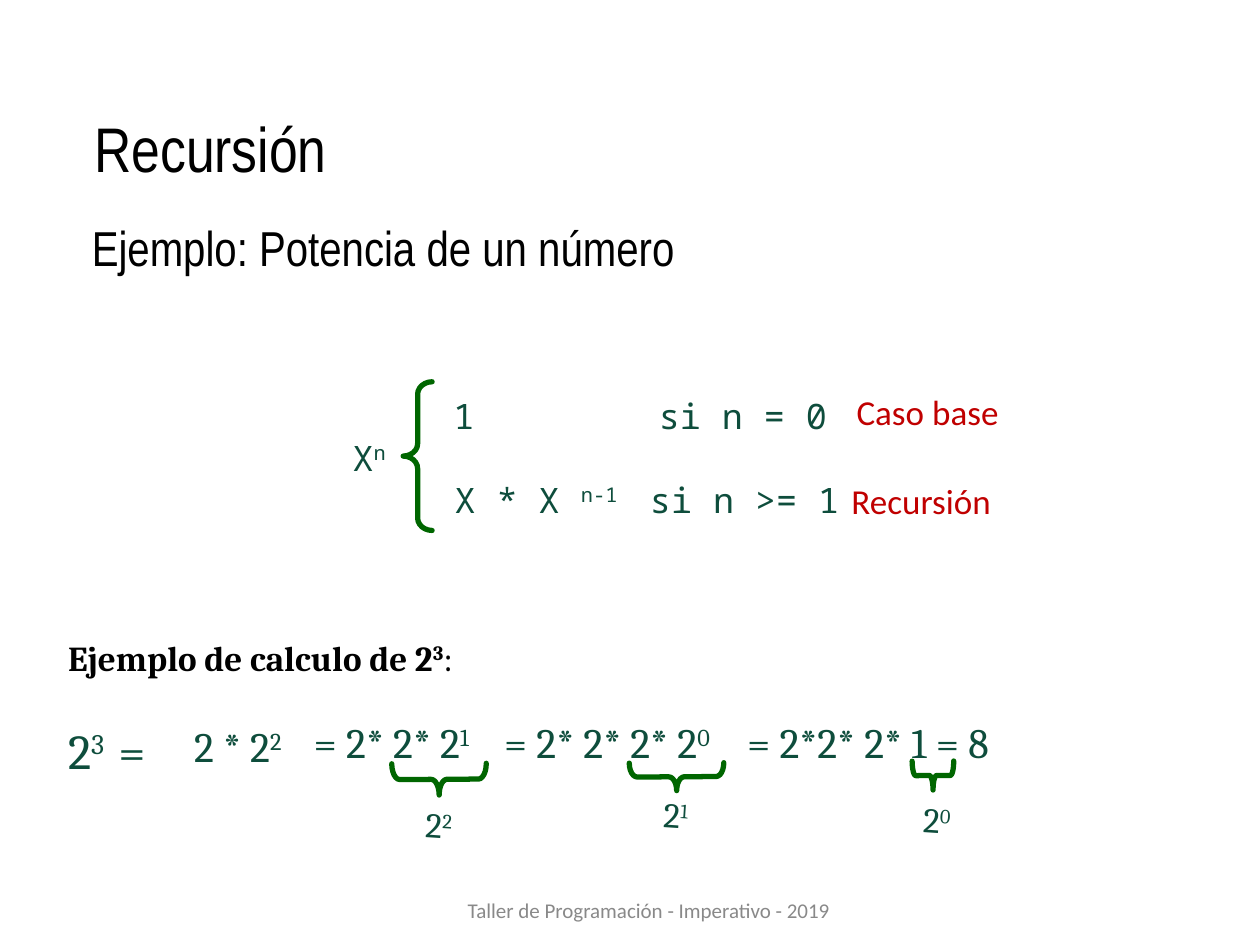
from dataclasses import dataclass

from pptx import Presentation
from pptx.dml.color import RGBColor
from pptx.enum.shapes import MSO_SHAPE
from pptx.enum.text import MSO_ANCHOR, PP_ALIGN
from pptx.oxml.ns import qn
from pptx.util import Inches, Pt
from lxml import etree

RECT, BRACE = MSO_SHAPE.RECTANGLE, MSO_SHAPE.LEFT_BRACE
TOP, MID = MSO_ANCHOR.TOP, MSO_ANCHOR.MIDDLE
LEFT, MIDDLE = PP_ALIGN.LEFT, PP_ALIGN.CENTER

GREEN, EDGE, RED = "0E4D3C", "006600", "C00000"
BLACK, GREY, WHITE = "000000", "898989", "FFFFFF"
SERIF, MONO, SANS, NARROW = "Cambria", "Noto Sans Mono", "Calibri", "Arial Narrow"


@dataclass
class Run:
    text: str  # parts between ^ marks are raised
    size: float
    color: str
    font: str
    bold: bool = False


@dataclass
class Para:
    runs: list[Run]
    tabs: tuple[float, ...] = ()
    align: PP_ALIGN = LEFT
    lead: float | Pt | None = None
    above: float = 0
    below: float = 0


@dataclass
class Box:
    place: tuple[float, float, float, float]
    paras: list[Para]
    turn: float = 0
    filled: bool = False
    wrap: bool = True
    anchor: MSO_ANCHOR = TOP


@dataclass
class Brace:
    place: tuple[float, float, float, float]
    curve: float
    turn: float = 269.7


def paint(target, color: str) -> None:
    target.rgb = RGBColor.from_string(color)


def add_run(para, run: Run) -> None:
    for i, part in enumerate(run.text.split("^")):
        if not part:
            continue
        item = para.add_run()
        item.text = part
        style = {"name": run.font, "size": Pt(run.size), "bold": run.bold}
        for key, value in style.items():
            setattr(item.font, key, value)
        paint(item.font.color, run.color)
        if i % 2:
            item.font._element.set("baseline", "30000")


def add_tabs(para, stops: tuple[float, ...]) -> None:
    if stops:
        tabs = etree.SubElement(para._p.get_or_add_pPr(), qn("a:tabLst"))
        for stop in stops:
            etree.SubElement(tabs, qn("a:tab"), pos=str(Inches(stop)), algn="l")


def add_box(slide, box: Box) -> None:
    place = [Inches(v) for v in box.place]
    if box.filled:
        shape = slide.shapes.add_shape(RECT, *place)
        shape.shadow.inherit = False
        shape.fill.solid()
        paint(shape.fill.fore_color, WHITE)
        shape.line.fill.background()
    else:
        shape = slide.shapes.add_textbox(*place)
    shape.rotation = box.turn
    frame = shape.text_frame
    frame.word_wrap = box.wrap
    frame.vertical_anchor = box.anchor
    if box.filled:
        for side in ("left", "right", "top", "bottom"):
            setattr(frame, f"margin_{side}", Inches(0.16))
    for i, item in enumerate(box.paras):
        para = frame.add_paragraph() if i else frame.paragraphs[0]
        style = {"alignment": item.align, "line_spacing": item.lead,
                 "space_before": Pt(item.above), "space_after": Pt(item.below)}
        for key, value in style.items():
            setattr(para, key, value)
        add_tabs(para, item.tabs)
        for run in item.runs:
            add_run(para, run)


def add_brace(slide, brace: Brace) -> None:
    shape = slide.shapes.add_shape(BRACE, *[Inches(v) for v in brace.place])
    shape.shadow.inherit = False
    shape.adjustments[0] = brace.curve
    shape.rotation = brace.turn
    shape.fill.background()
    shape.line.width = Pt(3)
    paint(shape.line.color, EDGE)
    line = shape.line._get_or_add_ln()
    line.set("cap", "rnd")
    etree.SubElement(line, qn("a:round"))


def head(text: str, size: float) -> list[Para]:
    return [Para([Run(text, size, BLACK, NARROW)], lead=1.35, above=0.3 * size, below=6)]


def term(left: float, top: float, width: float, text: str) -> Box:
    return Box((left, top, width, 0.72), [Para([Run(text, 24, GREEN, SERIF)])], filled=True)


def label(left: float, top: float, text: str) -> Box:
    return Box((left, top, 0.5, 0.44), [Para([Run(text, 20, GREEN, SERIF)])], turn=3.8)


def case(left: float, top: float, text: str) -> Box:
    return Box((left, top, 1.34, 0.44), [Para([Run(text, 20, RED, SANS)])], wrap=False)


def rule(text: str, *tabs: float) -> Para:
    return Para([Run(text, 20, GREEN, MONO)], tabs, lead=Pt(24))


PARTS = [
    # Definition by cases
    Brace((3.2, 3.03, 0.23, 1.18), 0.43, 0),
    Box((2.34, 3.08, 5.49, 1.1), [
        rule("\t1\tsi n = 0", 1.16, 2.79),
        rule("\tX^n^", 0.36),
        rule("\tX * X ^n-1^\tsi n >= 1", 1.17, 2.72)]),
    # Worked example
    Box((0.38, 4.89, 8.88, 1.8), [
        Para([Run("Ejemplo de calculo de 2^3^", 20, BLACK, SERIF, True),
              Run(":", 20, BLACK, SERIF)]),
        Para([Run("2^3^\t=", 28, GREEN, SERIF)], (0.4,), above=24)], filled=True),
    case(6.7, 3.05, "Caso base"),
    case(6.66, 3.76, "Recursión"),
    # Footer
    Box((2.87, 6.99, 4.56, 0.4), [
        Para([Run("Taller de Programación - Imperativo - 2019", 12, GREY, SANS)],
             align=MIDDLE, lead=1.35, above=2.4)], anchor=MID),
    # Expansion steps
    term(1.38, 5.56, 1.29, "2 * 2^2^"),
    term(3.84, 5.53, 2.4, "= 2* 2* 2* 2^0^"),
    Brace((5.26, 5.79, 0.22, 0.75), 0.28),
    term(5.77, 5.53, 2.8, "= 2*2* 2* 1 = 8"),
    Brace((7.29, 5.99, 0.23, 0.33), 0.12),
    label(3.28, 6.33, "2^2^"),
    label(5.17, 6.25, "2^1^"),
    label(7.23, 6.29, "2^0^"),
    # Headings
    Box((0.63, 1.36, 8.62, 1.04), head("Ejemplo: Potencia de un número", 28), anchor=MID),
    Box((0.65, 0.61, 9.1, 0.84), head("Recursión", 36)),
    # Second step, in front
    term(2.33, 5.53, 1.69, "= 2* 2* 2^1^"),
    Brace((3.36, 5.81, 0.25, 0.75), 0.25),
]


def main() -> None:
    deck = Presentation()
    deck.slide_width, deck.slide_height = Inches(10), Inches(7.5)
    slide = deck.slides.add_slide(deck.slide_layouts[6])
    for part in PARTS:
        if isinstance(part, Brace):
            add_brace(slide, part)
        else:
            add_box(slide, part)
    deck.save("out.pptx")


if __name__ == "__main__":
    main()
